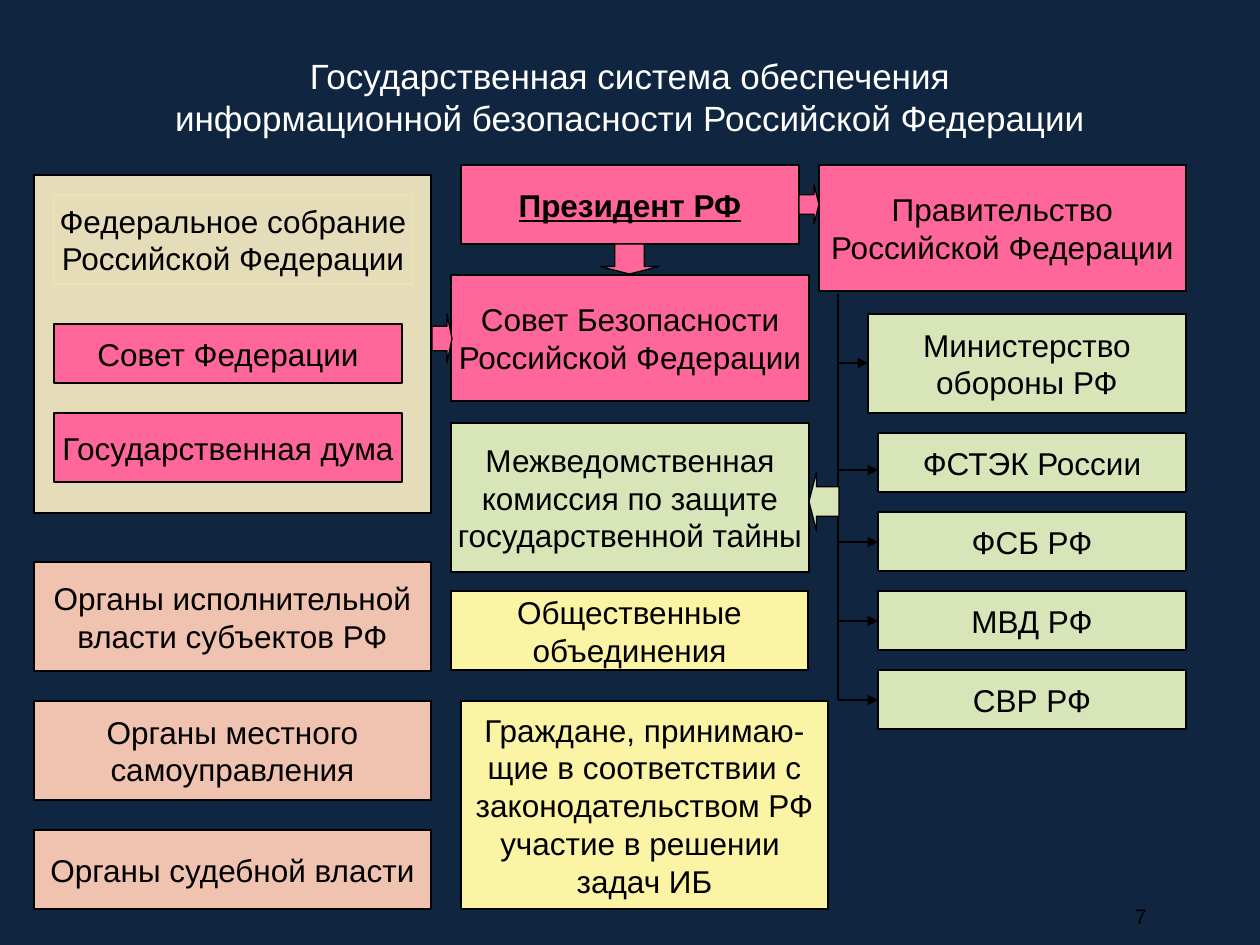
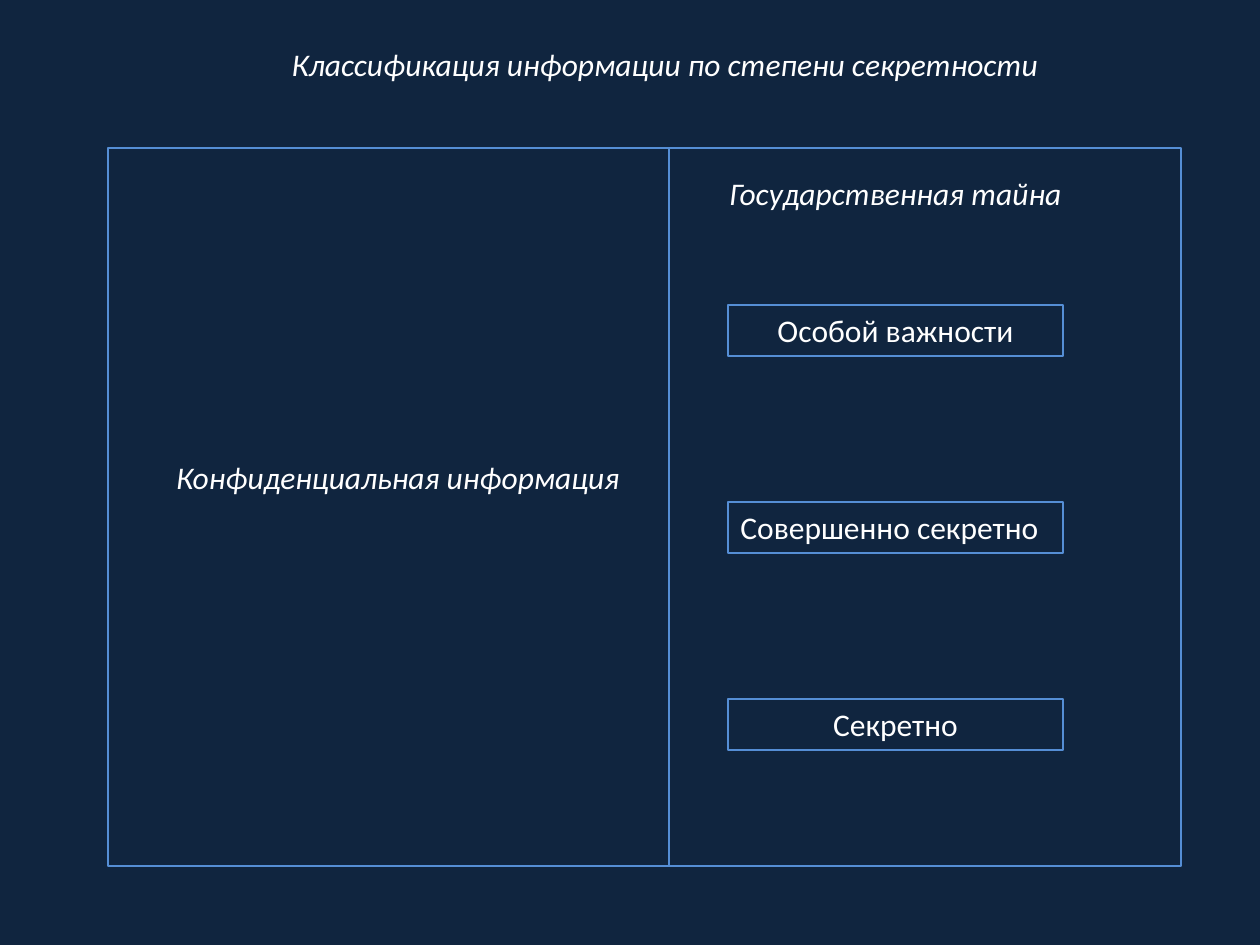
from dataclasses import dataclass

from lxml import etree
from pptx import Presentation, util as u
from pptx.dml.color import RGBColor
from pptx.enum import shapes as s, text as t
from pptx.oxml.ns import qn

SCALE = 914400 / 126


@dataclass(frozen=True)
class Theme:
    """Colours, fonts and type sizes of the deck."""
    navy: str = "10253F"
    white: str = "FFFFFF"
    black: str = "000000"
    pink: str = "FF6699"
    sand: str = "E5DDB9"
    straw: str = "EBE3B3"
    green: str = "D7E5B9"
    peach: str = "EFC3AF"
    yellow: str = "FAF4A4"
    blue: str = "558ED5"
    sans: str = "Arial"
    soft: str = "Calibri"
    head: int = 20
    body: int = 18
    small: int = 12
    thin: float = 0.75
    frame: float = 1


T = Theme()
MID, TOP = t.MSO_ANCHOR.MIDDLE, t.MSO_ANCHOR.TOP
LEFT, CENTER, RIGHT = t.PP_ALIGN.LEFT, t.PP_ALIGN.CENTER, t.PP_ALIGN.RIGHT
NOTE = dict(font=T.soft, color=T.white, anchor=TOP, wrap=True)


def px(*nums):
    """Turn px lengths into EMU."""
    return [u.Emu(round(n * SCALE)) for n in nums]


def rgb(code):
    """Turn a hex code into a colour."""
    return RGBColor.from_string(code)


def write(shape, paras, size=T.body, font=T.sans, color=T.black, align=CENTER,
          anchor=MID, wrap=False, bold=False, slant=False, under=False):
    """Fill a shape with paragraphs; a newline inside one is a line break."""
    frame = shape.text_frame
    frame.word_wrap, frame.vertical_anchor = wrap, anchor
    frame.auto_size = t.MSO_AUTO_SIZE.NONE
    for i, words in enumerate(paras):
        para = frame.add_paragraph() if i else frame.paragraphs[0]
        para.alignment = align
        for j, line in enumerate(words.split("\n")):
            if j:
                para.add_line_break()
            run = para.add_run()
            run.text = line
            face = run.font
            face.name, face.size = font, u.Pt(size)
            face.color.rgb = rgb(color)
            face.bold, face.italic, face.underline = bold, slant, under


def title(slide, words, place, **style):
    """Place and fill the title placeholder."""
    shape = slide.shapes.title
    shape.left, shape.top, shape.width, shape.height = px(*place)
    write(shape, [words], wrap=True, **style)


def label(slide, words, place, **style):
    """Add a text box."""
    write(slide.shapes.add_textbox(*px(*place)), [words], **style)


def draw(slide, kind, place, fill=None, line=T.black, width=T.thin):
    """Add a flat preset shape."""
    shape = slide.shapes.add_shape(kind, *px(*place))
    shape.shadow.inherit = False
    if fill:
        shape.fill.solid()
        shape.fill.fore_color.rgb = rgb(fill)
    else:
        shape.fill.background()
    shape.line.color.rgb = rgb(line)
    shape.line.width = u.Pt(width)
    return shape


def box(slide, paras, place, fill, line=T.black, **style):
    """Add a filled box with centred text."""
    write(draw(slide, s.MSO_SHAPE.RECTANGLE, place, fill, line), paras, **style)


def frame(slide, place):
    """Add an open blue frame."""
    return draw(slide, s.MSO_SHAPE.RECTANGLE, place, line=T.blue, width=T.frame)


def arrow(slide, kind, place, fill):
    """Add a block arrow with a short head."""
    shape = draw(slide, kind, place, fill)
    shape.adjustments[0], shape.adjustments[1] = 0.5, 0.25


def link(slide, start, end, tip=True):
    """Add a thin line, with an arrowhead if it has a tip."""
    line = slide.shapes.add_connector(s.MSO_CONNECTOR.STRAIGHT, *px(*start, *end))
    line.line.color.rgb = rgb(T.black)
    line.line.width = u.Pt(T.thin)
    if tip:
        etree.SubElement(line.line._get_or_add_ln(), qn("a:tailEnd"), type="triangle")
    etree.SubElement(line._element.spPr, qn("a:effectLst"))


def tree(slide):
    """Draw the government and the agencies that hang from it."""
    trunk, left, edge = 838, 878, 1186
    box(slide, ["Правительство", "Российской Федерации"], (819, 165, 367, 126), T.pink)
    box(slide, ["Министерство", "обороны РФ"], (868, 314, 318, 99), T.green)
    link(slide, (trunk, 294), (trunk, 700), tip=False)
    link(slide, (trunk, 363), (868, 363))
    rows = [("ФСТЭК России", 470), ("ФСБ РФ", 542), ("МВД РФ", 621), ("СВР РФ", 700)]
    for i, (name, y) in enumerate(rows):
        box(slide, [name], (left, 433 + 79 * i, edge - left, 59), T.green)
        link(slide, (trunk, y), (left, y))


def system(slide):
    """Build the chart of state security bodies."""
    title(slide, "Государственная система обеспечения\n"
          "информационной безопасности Российской Федерации",
          (63, 38, 1134, 117), size=T.head, color=T.white)
    box(slide, ["Президент РФ"], (461, 165, 338, 79), T.pink, bold=True, under=True)
    draw(slide, s.MSO_SHAPE.RECTANGLE, (34, 175, 397, 338), T.sand)
    tree(slide)
    cells = [
        (["Федеральное собрание", "Российской Федерации"],
         (54, 195, 358, 89), T.sand, T.straw),
        (["Совет Федерации"], (54, 324, 348, 59), T.pink),
        (["Государственная дума"], (54, 413, 348, 69), T.pink),
        (["Совет Безопасности", "Российской Федерации"], (451, 275, 358, 126), T.pink),
        (["Межведомственная", "комиссия по защите", "государственной тайны"],
         (451, 423, 358, 149), T.green),
        (["Органы исполнительной", "власти субъектов РФ"],
         (34, 562, 397, 109), T.peach),
        (["Органы местного", "самоуправления"], (34, 701, 397, 99), T.peach),
        (["Органы судебной власти"], (34, 830, 397, 79), T.peach),
        (["Общественные", "объединения"], (451, 591, 357, 79), T.yellow),
        (["Граждане, принимаю-", "щие в соответствии с", "законодательством РФ",
          "участие в решении ", "задач ИБ"], (461, 701, 367, 208), T.yellow),
    ]
    for cell in cells:
        box(slide, *cell)
    arrow(slide, s.MSO_SHAPE.DOWN_ARROW, (600, 244, 59, 30), T.pink)
    arrow(slide, s.MSO_SHAPE.RIGHT_ARROW, (432, 314, 20, 49), T.pink)
    arrow(slide, s.MSO_SHAPE.RIGHT_ARROW, (799, 185, 20, 39), T.pink)
    arrow(slide, s.MSO_SHAPE.LEFT_ARROW, (809, 472, 30, 59), T.green)
    label(slide, "7", (1059, 896, 100, 40), size=T.small, align=RIGHT, wrap=True)


def levels(slide):
    """Build the scheme of secrecy levels."""
    title(slide, "Классификация информации по степени секретности",
          (266, 39, 798, 50), font=T.soft, color=T.white, anchor=TOP, slant=True)
    for left, width in [(108, 561), (669, 512)]:
        frame(slide, (left, 148, width, 718))
    label(slide, "Конфиденциальная информация", (147, 452, 502, 50), slant=True, **NOTE)
    label(slide, "Государственная тайна", (689, 168, 413, 50), slant=True, **NOTE)
    ranks = [("Особой важности", CENTER), ("Совершенно секретно", LEFT),
             ("Секретно", CENTER)]
    for i, (name, align) in enumerate(ranks):
        write(frame(slide, (728, 305 + 197 * i, 335, 51)), [name], align=align, **NOTE)


def main():
    """Build and save the deck."""
    deck = Presentation()
    deck.slide_width, deck.slide_height = px(1260, 945)
    back = deck.slide_master.background.fill
    back.solid()
    back.fore_color.rgb = rgb(T.navy)
    for build in (system, levels):
        build(deck.slides.add_slide(deck.slide_layouts[5]))
    deck.save("out.pptx")


if __name__ == "__main__":
    main()
